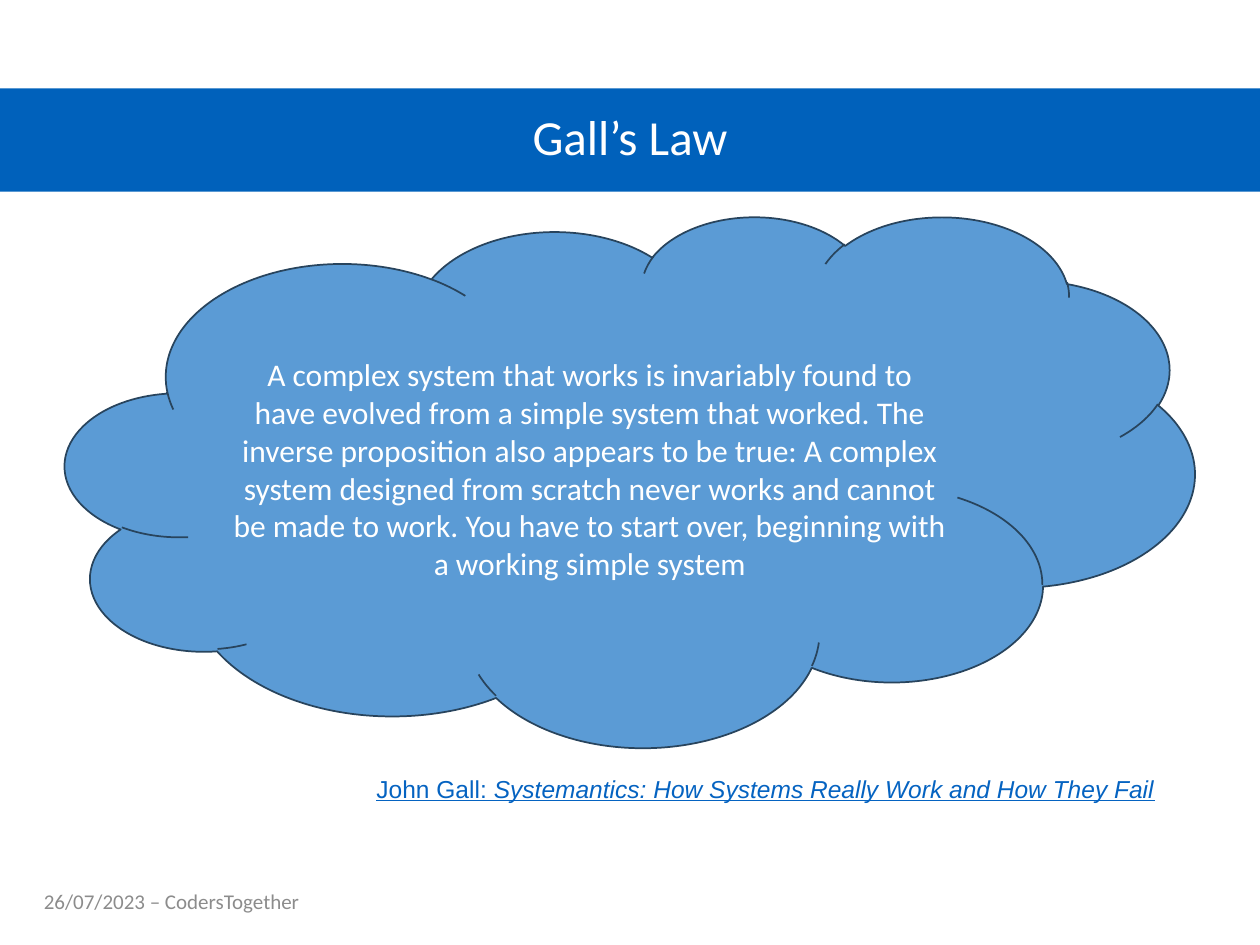
from dataclasses import dataclass

from pptx import Presentation
from pptx.dml.color import RGBColor
from pptx.enum import shapes, text
from pptx.util import Pt


@dataclass(frozen=True)
class Theme:
    white: str = "FFFFFF"
    band: str = "0061BB"
    cloud: str = "5B9BD5"
    edge: str = "28445D"
    link: str = "0563C1"
    grey: str = "8C8C8C"
    title: int = 28
    body: int = 18
    cite: int = 14
    foot: int = 12
    sans: str = "Calibri"
    alt: str = "Arial"


class Deck:
    def __init__(self, theme, wide, high):
        self.theme = theme
        self.prs = Presentation()
        self.prs.slide_width, self.prs.slide_height = Pt(wide), Pt(high)
        self.slide = self.prs.slides.add_slide(self.prs.slide_layouts[6])

    def shape(self, kind, box, fill, line=None):
        item = self.slide.shapes.add_shape(kind, *map(Pt, box))
        item.shadow.inherit = False
        item.fill.solid()
        item.fill.fore_color.rgb = RGBColor.from_string(fill)
        if line:
            item.line.color.rgb = RGBColor.from_string(line)
            item.line.width = Pt(1)
        else:
            item.line.fill.background()
        return item

    def label(self, box):
        return self.slide.shapes.add_textbox(*map(Pt, box))

    def words(self, item, runs, font, size, color, mid=True, **para):
        """Fill an item with one paragraph of (words, font values) runs."""
        frame = item.text_frame
        frame.word_wrap = True
        anchor = text.MSO_ANCHOR
        frame.vertical_anchor = anchor.MIDDLE if mid else anchor.TOP
        line = frame.paragraphs[0]
        for key, value in para.items():
            setattr(line, key, value)
        for part, extra in runs:
            run = line.add_run()
            run.text = part
            look = {"name": font, "size": Pt(size), **extra}
            for key, value in look.items():
                setattr(run.font, key, value)
            run.font.color.rgb = RGBColor.from_string(color)


def main():
    th = Theme()
    deck = Deck(th, 720, 540)
    kind = shapes.MSO_SHAPE
    left, center = text.PP_ALIGN.LEFT, text.PP_ALIGN.CENTER

    band = deck.shape(kind.RECTANGLE, (0, 50.5, 720, 59), th.band)
    deck.words(band, [("Gall’s Law", {})], th.sans, th.title, th.white,
               alignment=center, line_spacing=0.9)

    foot = deck.label((18, 500.5, 463, 29))
    deck.words(foot, [("26/07/2023 – CodersTogether", {})],
               th.sans, th.foot, th.grey, alignment=left, space_after=Pt(6))

    cloud = deck.shape(kind.CLOUD, (37.4, 123.2, 645.2, 303.3),
                       th.cloud, th.edge)
    law = ("A complex system that works is invariably found to have evolved "
           "from a simple system that worked. The inverse proposition also "
           "appears to be true: A complex system designed from scratch never "
           "works and cannot be made to work. You have to start over, "
           "beginning with a working simple system")
    deck.words(cloud, [(law, {})], th.sans, th.body, th.white,
               alignment=center)

    cite = deck.label((208, 438.5, 501, 24.5))
    under = {"underline": True}
    book = "Systemantics: How Systems Really Work and How They Fail"
    deck.words(cite, [("John Gall: ", under), (book, {**under, "italic": True})],
               th.alt, th.cite, th.link, mid=False, alignment=left)
    cite.text_frame.auto_size = text.MSO_AUTO_SIZE.SHAPE_TO_FIT_TEXT

    deck.prs.save("out.pptx")


if __name__ == "__main__":
    main()
